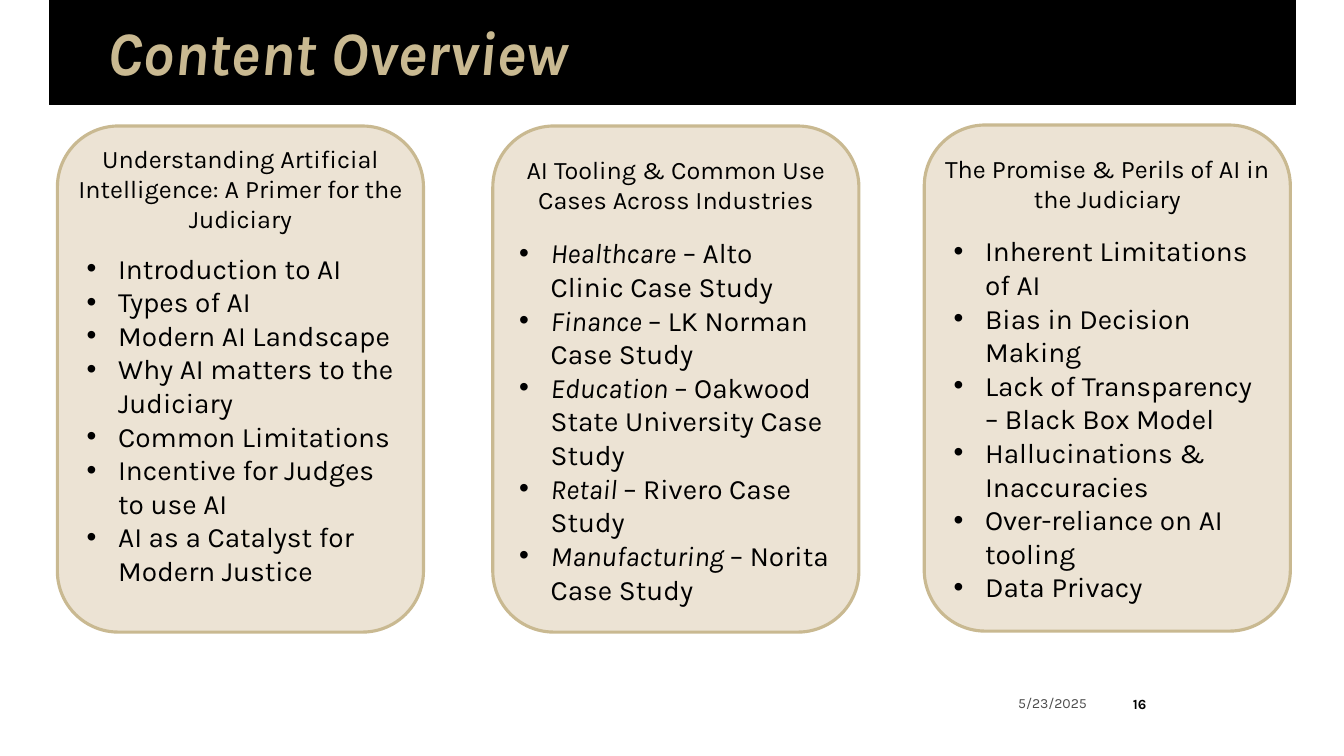
import pptx
import pptx.dml.color
import pptx.enum.shapes
import pptx.enum.text
import pptx.util
import lxml.etree

Pt = pptx.util.Pt
ALIGN = pptx.enum.text.PP_ALIGN
ANCHOR = pptx.enum.text.MSO_ANCHOR
SHAPE = pptx.enum.shapes.MSO_SHAPE

COLORS = {"black": "000000", "gold": "C9B991", "cream": "ECE3D4", "grey": "4D4D4D"}
CARD_WIDTH, CARD_HEIGHT = 261.5, 361.5
INDENT = 22.5

# Each column: card left and top, heading top, list left and top, heading,
# and list items as (italic lead, plain text)
COLUMNS = [
    (41, 90, 98.6, 54.7, 175.7,
     "Understanding Artificial Intelligence: A Primer for the Judiciary",
     [("", "Introduction to AI"),
      ("", "Types of AI"),
      ("", "Modern AI Landscape"),
      ("", "Why AI matters to the Judiciary"),
      ("", "Common Limitations"),
      ("", "Incentive for Judges to use AI"),
      ("", "AI as a Catalyst for Modern Justice")]),
    (352, 90, 106.6, 363.6, 164.9,
     "AI Tooling & Common Use Cases Across Industries",
     [("Healthcare", " – Alto Clinic Case Study"),
      ("Finance ", "– LK Norman Case Study"),
      ("Education ", "– Oakwood State University Case Study"),
      ("Retail ", "– Rivero Case Study"),
      ("Manufacturing ", "– Norita Case Study")]),
    (660.2, 89.3, 105.8, 673.9, 163.4,
     "The Promise & Perils of AI in the Judiciary",
     [("", "Inherent Limitations of AI"),
      ("", "Bias in Decision Making"),
      ("", "Lack of Transparency – Black Box Model"),
      ("", "Hallucinations & Inaccuracies"),
      ("", "Over-reliance on AI tooling"),
      ("", "Data Privacy")]),
]


class SlideBuilder:
    """Holds the style and the current slide."""

    font = "Karla"

    def __init__(self, slide):
        self.slide = slide

    def color(self, name):
        return pptx.dml.color.RGBColor.from_string(COLORS[name])

    def format_run(self, run, size, color="black", bold=False, italic=False):
        run.font.name = self.font
        run.font.size = Pt(size)
        run.font.bold = bold
        run.font.italic = italic
        run.font.color.rgb = self.color(color)

    def panel(self, kind, box, fill, line, line_width):
        panel = self.slide.shapes.add_shape(kind, *map(Pt, box))
        panel.shadow.inherit = False
        panel.fill.solid()
        panel.fill.fore_color.rgb = self.color(fill)
        panel.line.color.rgb = self.color(line)
        panel.line.width = Pt(line_width)

    def label(self, text, box, size, align, anchor=ANCHOR.TOP, color="black", bold=False):
        frame = self.slide.shapes.add_textbox(*map(Pt, box)).text_frame
        frame.word_wrap = True
        frame.vertical_anchor = anchor
        frame.text = text
        frame.paragraphs[0].alignment = align
        self.format_run(frame.paragraphs[0].runs[0], size, color, bold)

    def place(self, placeholder, box):
        """Moves a placeholder into its box and in front of what is drawn so far."""
        placeholder.left, placeholder.top, placeholder.width, placeholder.height = map(Pt, box)
        self.slide.shapes.element.append(placeholder.element)
        frame = placeholder.text_frame
        frame.word_wrap = True
        frame.auto_size = pptx.enum.text.MSO_AUTO_SIZE.NONE
        frame.vertical_anchor = ANCHOR.TOP
        return frame

    def title(self, text, box):
        frame = self.place(self.slide.shapes.title, box)
        frame.margin_left = frame.margin_right = frame.margin_top = frame.margin_bottom = 0
        frame.text = text
        heading = frame.paragraphs[0]
        heading.alignment = ALIGN.LEFT
        heading.line_spacing = 0.9
        self.format_run(heading.runs[0], 44, "gold", bold=True, italic=True)

    def bullets(self, placeholder, items, box):
        frame = self.place(placeholder, box)
        frame.text = "\n".join(lead for lead, _ in items)
        for item, (lead, rest) in zip(frame.paragraphs, items):
            item.add_run().text = rest
            for run in item.runs:
                self.format_run(run, 20, italic=run.text == lead)
            item.alignment = ALIGN.LEFT
            item.space_before = Pt(0)
            self.bullet(item)

    def bullet(self, paragraph):
        properties = paragraph._p.get_or_add_pPr()
        properties.set("marL", str(Pt(INDENT)))
        properties.set("indent", str(-Pt(INDENT)))
        namespace = "{http://schemas.openxmlformats.org/drawingml/2006/main}"
        lxml.etree.SubElement(properties, namespace + "buFont", typeface="Arial")
        lxml.etree.SubElement(properties, namespace + "buChar", char="•")


def main():
    deck = pptx.Presentation()
    deck.slide_width, deck.slide_height = Pt(960), Pt(540)
    # The Comparison layout has a title and four body placeholders
    slide = deck.slides.add_slide(deck.slide_layouts[4])
    builder = SlideBuilder(slide)
    *list_bodies, spare_body = [p for p in slide.placeholders if p.placeholder_format.idx > 0]
    spare_body.element.getparent().remove(spare_body.element)

    # Title banner
    builder.panel(SHAPE.RECTANGLE, (35.3, 0, 890, 74.9), "black", "black", 1)
    builder.title("Content Overview", (77, 15.8, 629.3, 48.2))

    # Three topic cards
    for body, column in zip(list_bodies, COLUMNS):
        left, top, heading_top, list_left, list_top, heading, items = column
        builder.panel(SHAPE.ROUNDED_RECTANGLE, (left, top, CARD_WIDTH, CARD_HEIGHT),
                      "cream", "gold", 2.25)
        heading_height = list_top - heading_top - 5
        builder.label(heading, (left, heading_top, CARD_WIDTH, heading_height), 18, ALIGN.CENTER)
        builder.bullets(body, items, (list_left, list_top, 236.2, 273.6))

    # Footer
    builder.label("5/23/2025", (702.7, 489.6, 80.6, 25.2), 10, ALIGN.RIGHT,
                  ANCHOR.MIDDLE, "grey")
    builder.label("16", (794.9, 488.2, 38.2, 28.8), 10, ALIGN.CENTER, ANCHOR.MIDDLE, bold=True)

    deck.save("out.pptx")


if __name__ == "__main__":
    main()
